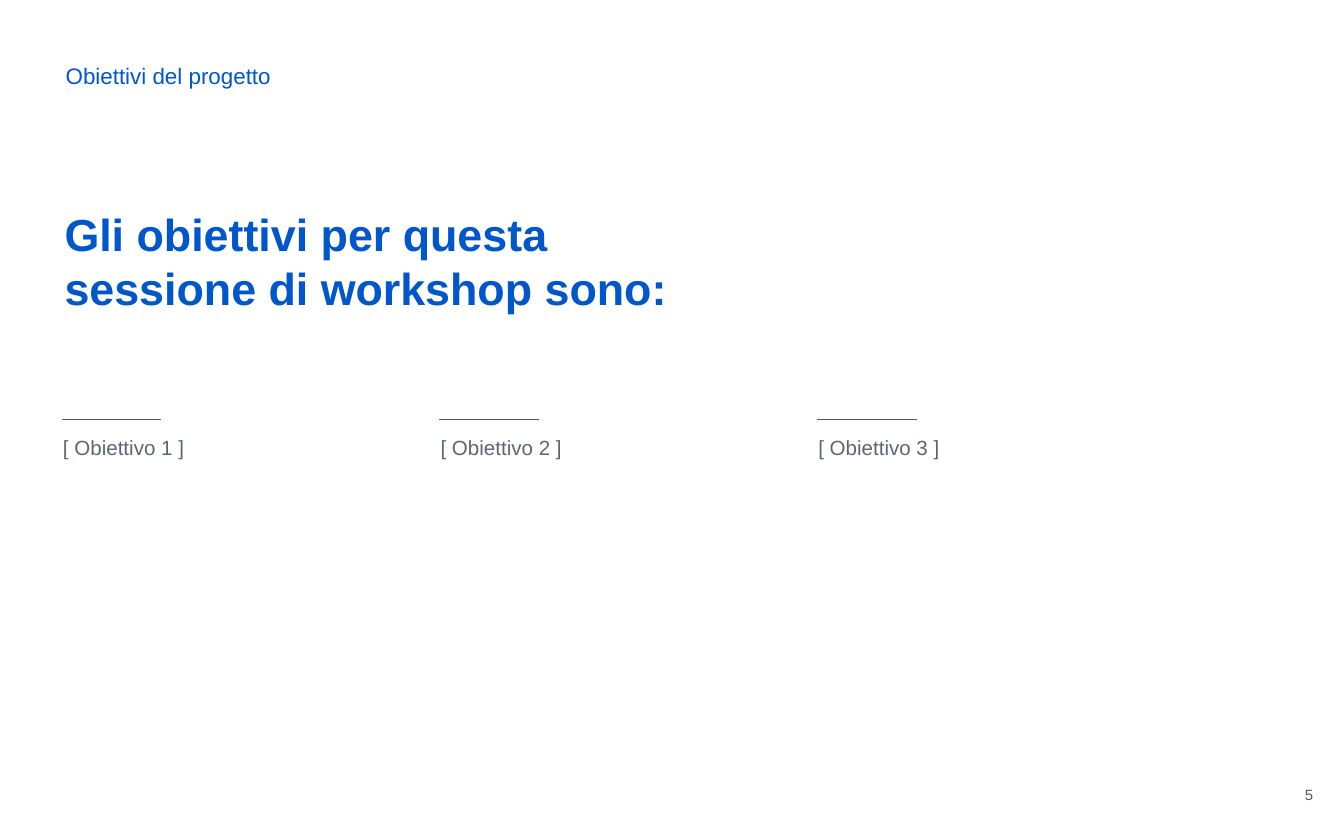
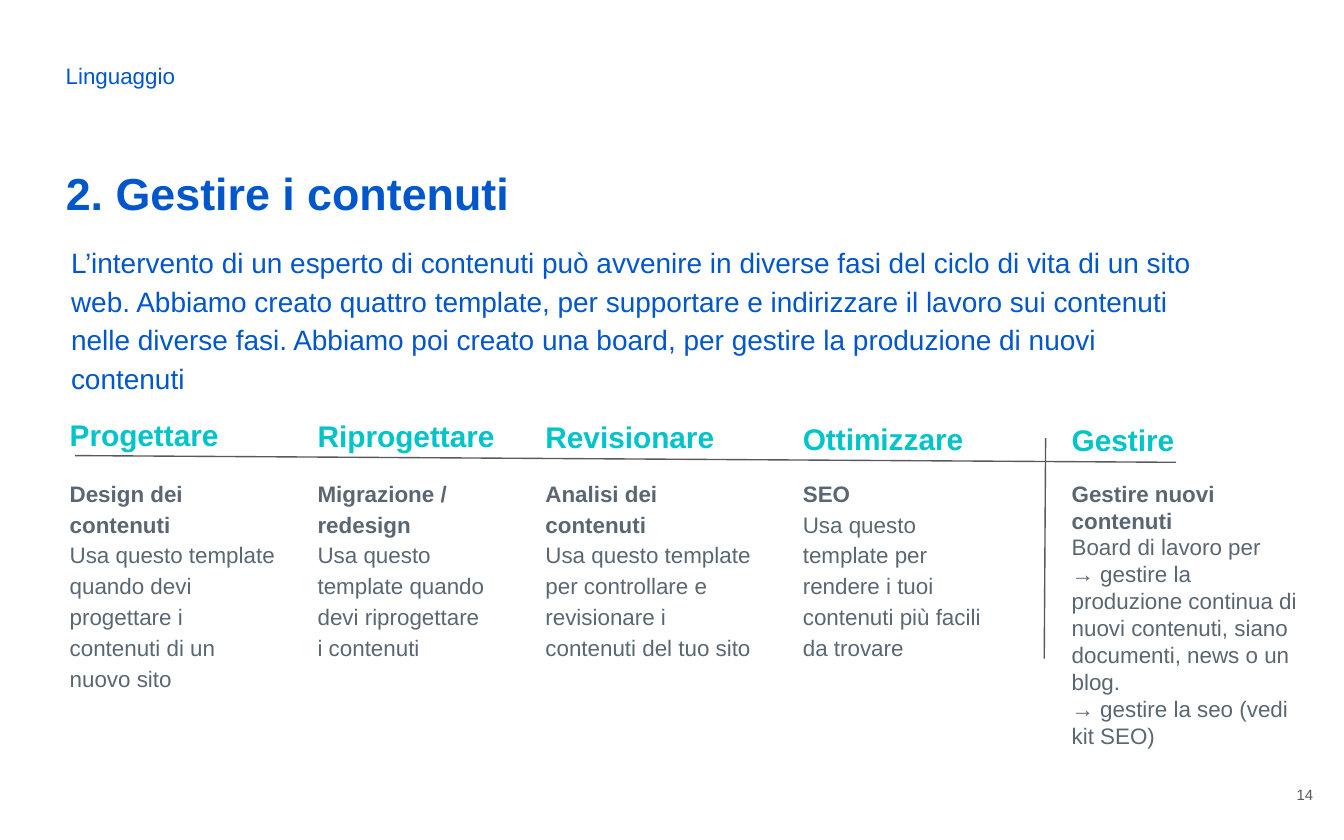
import pptx
import pptx.dml.color
import pptx.enum.shapes
import pptx.enum.text
import pptx.oxml
import pptx.oxml.ns
import pptx.util

WIDTH, HEIGHT = 10, 6.25
COLUMNS, ROWS = 100, 62.5  # grid units per slide side
FONT = "Arial"
COLOURS = {"blue": "0056CB", "teal": "00C4C9", "slate": "5A6772", "grey": "595959"}
ALIGN = pptx.enum.text.PP_ALIGN
ANCHOR = pptx.enum.text.MSO_ANCHOR

GOALS = ["[ Obiettivo 1 ]", "[ Obiettivo 2 ]", "[ Obiettivo 3 ]"]
INTRO = (
    "L’intervento di un esperto di contenuti può avvenire in diverse fasi del ciclo "
    "di vita di un sito web. Abbiamo creato quattro template, per supportare e "
    "indirizzare il lavoro sui contenuti nelle diverse fasi. Abbiamo poi creato una "
    "board, per gestire la produzione di nuovi contenuti"
)
# left column, width, phase, bold lead, description
PHASES = [
    (4.2, 17.5, "Progettare", "Design dei contenuti",
     "Usa questo template quando devi progettare i contenuti di un nuovo sito"),
    (22.65, 16.4, "Riprogettare", "Migrazione / redesign",
     "Usa questo template quando devi riprogettare\ni contenuti"),
    (39.6, 17.5, "Revisionare", "Analisi dei contenuti",
     "Usa questo template per controllare e revisionare i contenuti del tuo sito"),
    (58.75, 17.1, "Ottimizzare", "SEO",
     "Usa questo template per rendere i tuoi contenuti più facili da trovare"),
    (78.75, 18.8, "Gestire", "Gestire nuovi contenuti",
     "Board di lavoro per\n→ gestire la produzione continua di nuovi contenuti, "
     "siano documenti, news o un blog.\n→ gestire la seo (vedi kit SEO)"),
]


def col(n):
    return pptx.util.Inches(n * WIDTH / COLUMNS)


def row(n):
    return pptx.util.Inches(n * HEIGHT / ROWS)


def rgb(name):
    return pptx.dml.color.RGBColor.from_string(COLOURS[name])


def write(sp, text, size, colour, bold=False, align=ALIGN.LEFT, anchor=ANCHOR.TOP,
          spacing=1.0):
    """Fill a shape with text, one paragraph per line, in a single style."""
    tf = sp.text_frame
    tf.text = text
    tf.word_wrap = True
    tf.auto_size = pptx.enum.text.MSO_AUTO_SIZE.NONE
    tf.vertical_anchor = anchor
    tf.margin_left = tf.margin_right = tf.margin_top = tf.margin_bottom = col(1)
    for p in tf.paragraphs:
        p.alignment = align
        p.line_spacing = spacing
        for r in p.runs:
            r.font.name = FONT
            r.font.size = pptx.util.Pt(size)
            r.font.bold = bold
            r.font.color.rgb = rgb(colour)
    return tf


def add_text(s, x, y, w, h, text, size, colour, **style):
    sp = s.shapes.add_textbox(col(x), row(y), col(w), row(h))
    return write(sp, text, size, colour, **style)


def add_line(s, x1, y1, x2, y2):
    line = s.shapes.add_connector(
        pptx.enum.shapes.MSO_CONNECTOR.STRAIGHT, col(x1), row(y1), col(x2), row(y2))
    line.line.color.rgb = rgb("grey")
    line.line.width = pptx.util.Pt(0.75)
    # an empty effect list removes the theme shadow
    line._element.spPr.append(
        pptx.oxml.parse_xml("<a:effectLst %s/>" % pptx.oxml.ns.nsdecls("a")))


def add_slide(prs, section, number, title, x, y, w, h):
    """Add a slide with its section label, page number and placed title."""
    s = prs.slides.add_slide(prs.slide_layouts[5])
    sp = s.shapes.title
    sp.left, sp.top, sp.width, sp.height = col(x), row(y), col(w), row(h)
    write(sp, title, 24, "blue", bold=True)
    add_text(s, 3.9, 3.9, 42.4, 3.4, section, 12, "blue", anchor=ANCHOR.MIDDLE)
    add_text(s, 92.7, 56.7, 6, 4.8, number, 8, "grey",
             align=ALIGN.RIGHT, anchor=ANCHOR.MIDDLE)
    return s


def add_goal(s, index, text):
    x = 3.7 + 28.1 * index
    add_line(s, x + 0.9, 31.2, x + 8.3, 31.2)
    add_text(s, x, 31.1, 23.2, 14.6, text, 11, "slate", spacing=1.15)


def add_phase(s, index, x, w, phase, lead, description):
    """Add a phase heading, stepped down along the rule, and its text below."""
    last = index == len(PHASES) - 1
    add_text(s, x, 30.6 + 0.1 * index, 17.5, 3.4, phase, 16, "teal",
             bold=True, anchor=ANCHOR.MIDDLE)
    tf = add_text(s, x, 34.7 if last else 34.4, w, 21.4 if last else 13.7,
                  f"{lead}\n{description}", 12, "slate",
                  spacing=1.0 if last else 1.15)
    tf.paragraphs[0].runs[0].font.bold = True


def main():
    prs = pptx.Presentation()
    prs.slide_width, prs.slide_height = col(COLUMNS), row(ROWS)

    s = add_slide(prs, "Obiettivi del progetto", "5",
                  "Gli obiettivi per questa sessione di workshop sono:",
                  3.8, 14.4, 49, 9.6)
    for i, goal in enumerate(GOALS):
        add_goal(s, i, goal)

    s = add_slide(prs, "Linguaggio", "14", "2. Gestire i contenuti",
                  3.9, 11.3, 78, 7.4)
    add_text(s, 4.3, 16.9, 86.8, 9.8, INTRO, 15, "blue", spacing=1.15)
    for i, phase in enumerate(PHASES):
        add_phase(s, i, *phase)
    add_line(s, 77.8, 32.6, 77.7, 49)
    add_line(s, 5.6, 33.9, 87.5, 34.4)

    prs.save("out.pptx")


if __name__ == "__main__":
    main()
